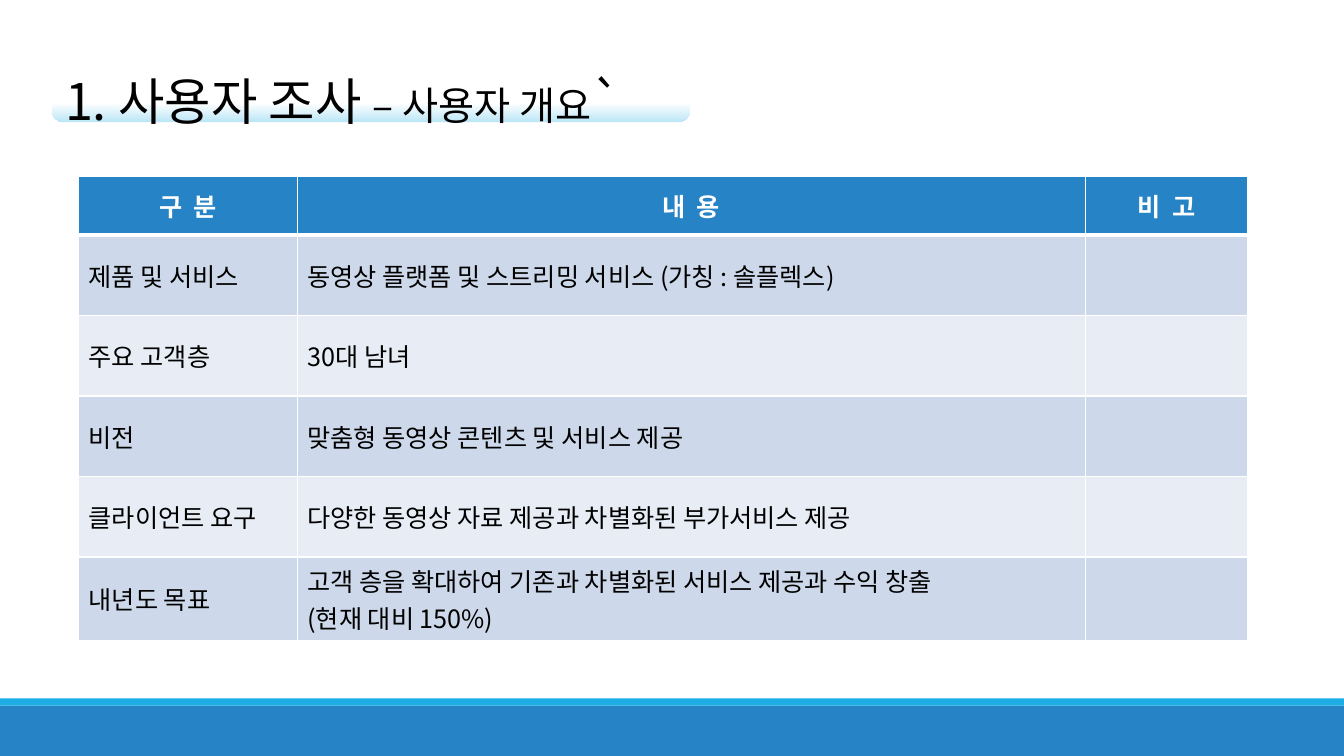
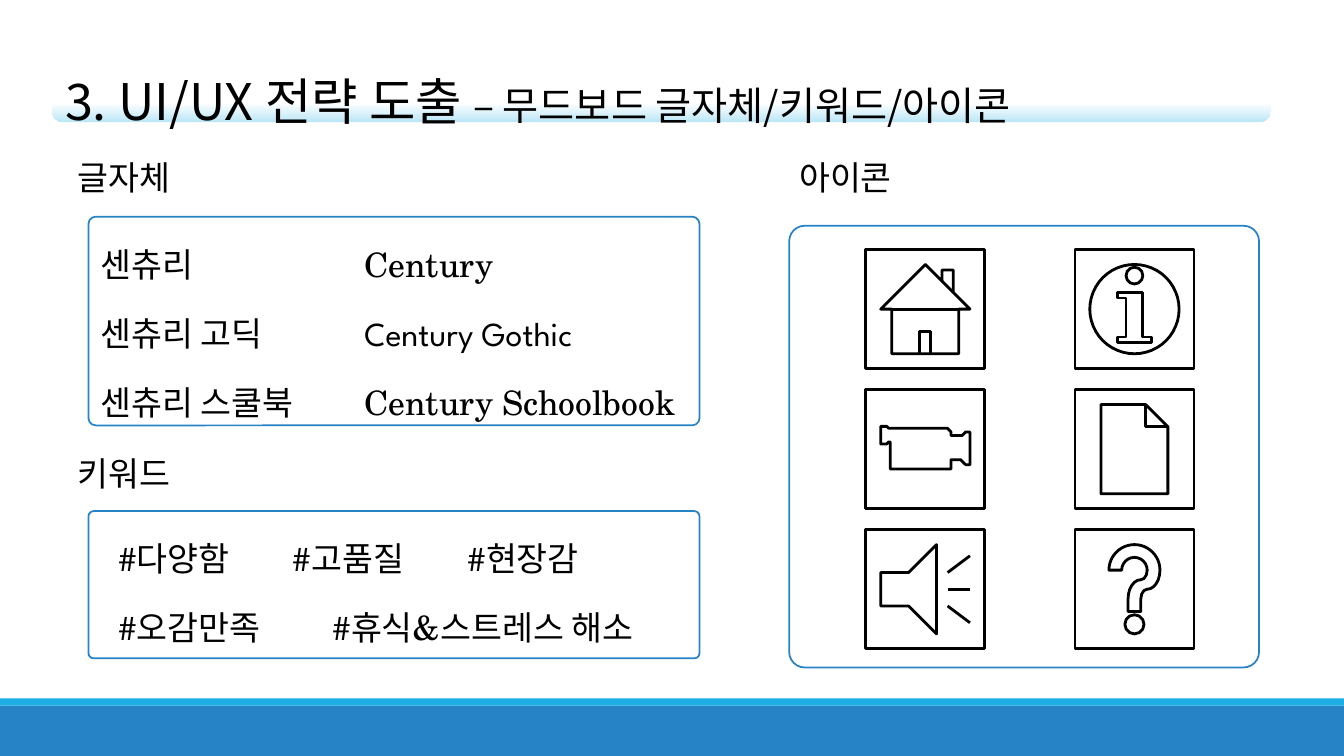
from dataclasses import dataclass

from lxml.etree import SubElement
from pptx import Presentation
from pptx.dml.color import RGBColor
from pptx.enum.shapes import MSO_SHAPE
from pptx.enum.text import MSO_ANCHOR, PP_ALIGN
from pptx.oxml.ns import qn
from pptx.util import Cm, Pt


@dataclass(frozen=True)
class Theme:
    blue: RGBColor = RGBColor(0x26, 0x83, 0xC6)
    cyan: RGBColor = RGBColor(0x1C, 0xAD, 0xE4)
    sky: RGBColor = RGBColor(0xBB, 0xE6, 0xF7)
    row_dark: RGBColor = RGBColor(0xCD, 0xD9, 0xEA)
    row_light: RGBColor = RGBColor(0xE8, 0xED, 0xF5)
    white: RGBColor = RGBColor(0xFF, 0xFF, 0xFF)
    black: RGBColor = RGBColor(0, 0, 0)
    sans: str = "Noto Sans CJK KR"
    serif: str = "TeX Gyre Schola"
    geometric: str = "League Spartan"
    title: Pt = Pt(36)
    subtitle: Pt = Pt(28)
    heading: Pt = Pt(24)
    table: Pt = Pt(18)


THEME = Theme()
SLIDE_WIDTH, SLIDE_HEIGHT = 33.87, 19.05
LISTING = {"line_spacing": 1.5, "space_after": Pt(3)}


def apply(target, formats):
    for name, value in formats.items():
        setattr(target, name, value)


def add_span(para, text, size, color=THEME.black, font=THEME.sans, bold=False):
    span = para.add_run()
    span.text = text
    span.font.color.rgb = color
    apply(span.font, {"size": size, "name": font, "bold": bold})
    SubElement(span._r.get_or_add_rPr(), qn("a:ea"), typeface=THEME.sans)
    return span


def add_tabs(para, stops):
    tabs = SubElement(para._p.get_or_add_pPr(), qn("a:tabLst"))
    for stop in stops:
        SubElement(tabs, qn("a:tab"), pos=str(Cm(stop)), algn="l")


def add_box(page, kind, box, fill=None, line=None, width=1.25):
    shape = page.shapes.add_shape(kind, *map(Cm, box))
    shape.shadow.inherit = False
    if fill is None:
        shape.fill.background()
    else:
        shape.fill.solid()
        shape.fill.fore_color.rgb = fill
    if line is None:
        shape.line.fill.background()
    else:
        shape.line.color.rgb = line
        shape.line.width = Pt(width)
    return shape


def add_panel(page, box):
    panel = add_box(page, MSO_SHAPE.ROUNDED_RECTANGLE, box, line=THEME.blue)
    panel.adjustments[0] = 0.035
    return panel


def add_title(page, box, parts):
    bar = add_box(page, MSO_SHAPE.ROUNDED_RECTANGLE, box)
    bar.fill.gradient()
    bar.fill.gradient_angle = 270
    for stop, position, color in zip(bar.fill.gradient_stops, (0.74, 1), (THEME.white, THEME.sky)):
        stop.position = position
        stop.color.rgb = color
    apply(bar.text_frame, {"word_wrap": True, "vertical_anchor": MSO_ANCHOR.MIDDLE})
    para = bar.text_frame.paragraphs[0]
    apply(para, {"alignment": PP_ALIGN.LEFT, "line_spacing": 1.5})
    for text, size in parts:
        add_span(para, text, size)


def add_page(deck, title_width, title_parts):
    """Add a slide with the shared bottom bands and title bar."""
    page = deck.slides.add_slide(deck.slide_layouts[6])
    for top, height, color in ((17.78, 1.27, THEME.blue), (17.6, 0.18, THEME.cyan)):
        add_box(page, MSO_SHAPE.RECTANGLE, (0, top, SLIDE_WIDTH, height), fill=color)
    add_title(page, (1.3, 1.2, title_width, 1.88), title_parts)
    return page


def add_heading(page, left, top, text):
    box = page.shapes.add_textbox(*map(Cm, (left, top, 4, 1.27)))
    box.text_frame.word_wrap = True
    add_span(box.text_frame.paragraphs[0], text, THEME.heading)


def add_list_panel(page, box, rows):
    """Add a panel whose rows are (text, latin font, tab stops)."""
    frame = add_panel(page, box).text_frame
    apply(frame, {"word_wrap": True, "vertical_anchor": MSO_ANCHOR.TOP})
    for index, (text, font, stops) in enumerate(rows):
        para = frame.add_paragraph() if index else frame.paragraphs[0]
        add_tabs(para, stops)
        apply(para, {"alignment": PP_ALIGN.LEFT, **LISTING})
        if index:
            para.space_before = Pt(3)
        add_span(para, text, THEME.heading, font=font)


def add_icon_panel(page, box, icon_rows):
    add_panel(page, box)
    left, top = box[:2]
    for row, kinds in enumerate(icon_rows):
        for column, kind in enumerate(kinds):
            place = (left + 1.93 + 5.27 * column, top + 0.6 + 3.53 * row, 3, 3)
            add_box(page, kind, place, line=THEME.black, width=2)


def add_borders(cell, bottom):
    properties = cell._tc.get_or_add_tcPr()
    for side, width in (("L", 1), ("R", 1), ("T", 1), ("B", bottom)):
        line = SubElement(properties, qn(f"a:ln{side}"), w=str(Pt(width)))
        fill = SubElement(line, qn("a:solidFill"))
        SubElement(fill, qn("a:srgbClr"), val=str(THEME.white))


def fill_cell(cell, text, row):
    header = row == 0
    add_borders(cell, 3 if header else 1)
    cell.fill.solid()
    cell.fill.fore_color.rgb = THEME.blue if header else (THEME.row_light, THEME.row_dark)[row % 2]
    cell.vertical_anchor = MSO_ANCHOR.MIDDLE
    for index, line in enumerate(text.split("\n") if text else []):
        para = cell.text_frame.add_paragraph() if index else cell.text_frame.paragraphs[0]
        para.alignment = PP_ALIGN.CENTER if header else PP_ALIGN.LEFT
        span = add_span(para, line, THEME.table, THEME.white if header else THEME.black, bold=header)
        if header:
            span._r.get_or_add_rPr().set("spc", "200")


def add_overview_table(page, left, top, rows):
    widths = (5.51, 19.86, 4.09)
    heights = (1.47, 2.03, 2.03, 2.03, 2.03, 2.11)
    place = map(Cm, (left, top, sum(widths), sum(heights)))
    table = page.shapes.add_table(len(rows), len(widths), *place).table
    for column, width in zip(table.columns, widths):
        column.width = Cm(width)
    for index, (texts, height) in enumerate(zip(rows, heights)):
        table.rows[index].height = Cm(height)
        for column, text in enumerate(texts):
            fill_cell(table.cell(index, column), text, index)


def build_overview(deck):
    page = add_page(deck, 16.1, [
        ("1. 사용자 조사 ", THEME.title),
        ("– 사용자 개요", THEME.subtitle),
        ("`", THEME.title),
    ])
    add_overview_table(page, 1.98, 4.45, [
        ("구 분", "내 용", "비 고"),
        ("제품 및 서비스", "동영상 플랫폼 및 스트리밍 서비스 (가칭 : 솔플렉스)", ""),
        ("주요 고객층", "30대 남녀", ""),
        ("비전", "맞춤형 동영상 콘텐츠 및 서비스 제공", ""),
        ("클라이언트 요구", "다양한 동영상 자료 제공과 차별화된 부가서비스 제공", ""),
        ("내년도 목표", "고객 층을 확대하여 기존과 차별화된 서비스 제공과 수익 창출\n(현재 대비 150%)", ""),
    ])


def build_moodboard(deck):
    page = add_page(deck, 30.73, [
        ("3. UI/UX 전략 도출 ", THEME.title),
        ("– 무드보드 글자체/키워드/아이콘", THEME.subtitle),
    ])
    for left, top, text in ((1.7, 3.84, "글자체"), (1.7, 11.28, "키워드"), (19.89, 3.84, "아이콘")):
        add_heading(page, left, top, text)
    add_list_panel(page, (2.23, 5.46, 15.4, 5.26), [
        ("센츄리\tCentury", THEME.serif, [6.65]),
        ("센츄리 고딕\tCentury Gothic", THEME.geometric, [6.65]),
        ("센츄리 스쿨북\tCentury Schoolbook", THEME.serif, [6.65]),
    ])
    add_list_panel(page, (2.23, 12.88, 15.4, 3.71), [
        ("\t#다양함\t#고품질\t#현장감", THEME.serif, [0.46, 4.86, 9.26]),
        ("\t#오감만족\t#휴식&스트레스 해소", THEME.serif, [0.46, 5.86]),
    ])
    add_icon_panel(page, (19.89, 5.69, 11.84, 11.13), [
        (MSO_SHAPE.ACTION_BUTTON_HOME, MSO_SHAPE.ACTION_BUTTON_INFORMATION),
        (MSO_SHAPE.ACTION_BUTTON_MOVIE, MSO_SHAPE.ACTION_BUTTON_DOCUMENT),
        (MSO_SHAPE.ACTION_BUTTON_SOUND, MSO_SHAPE.ACTION_BUTTON_HELP),
    ])


def main():
    deck = Presentation()
    apply(deck, {"slide_width": Cm(SLIDE_WIDTH), "slide_height": Cm(SLIDE_HEIGHT)})
    build_overview(deck)
    build_moodboard(deck)
    deck.save("out.pptx")


if __name__ == "__main__":
    main()
